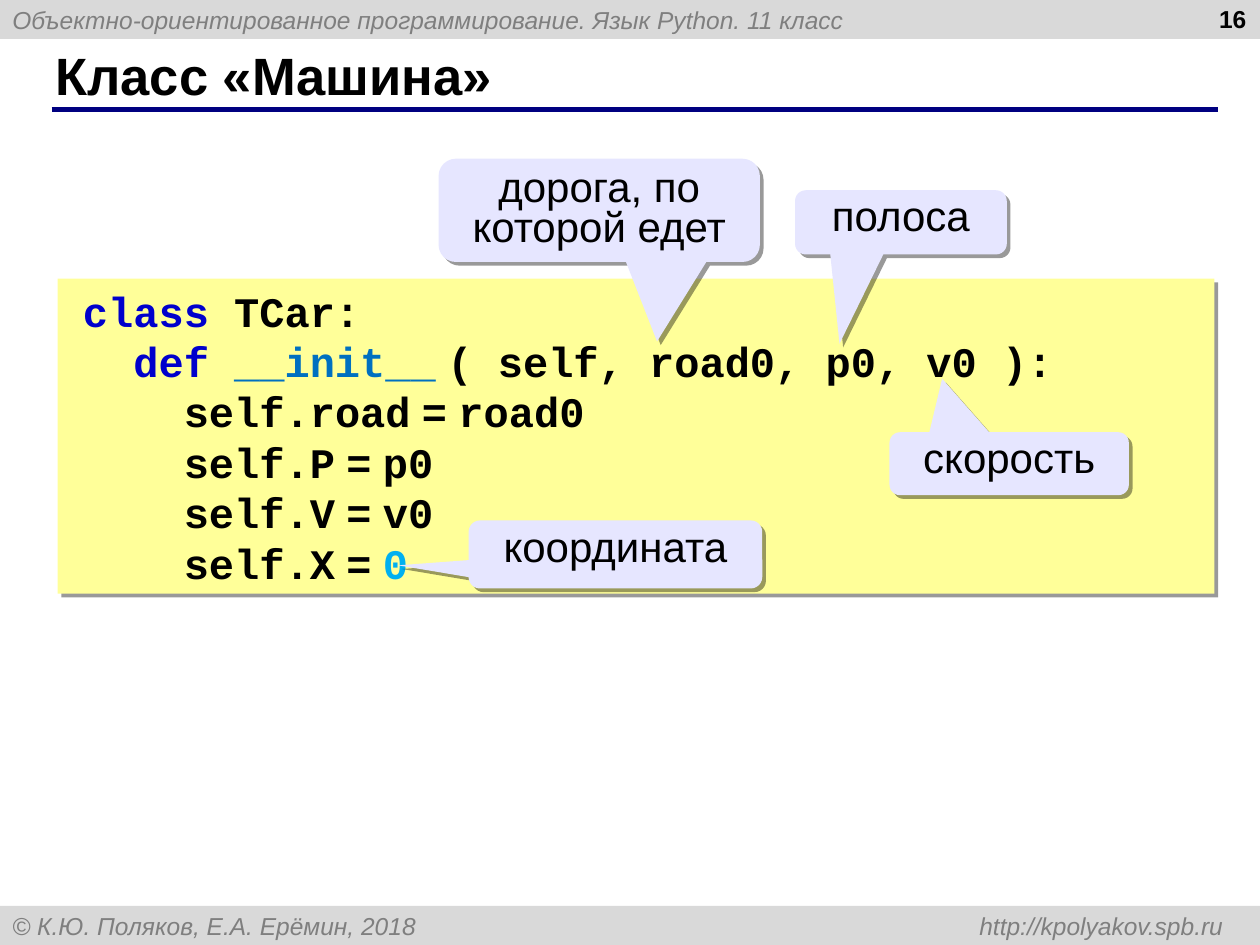
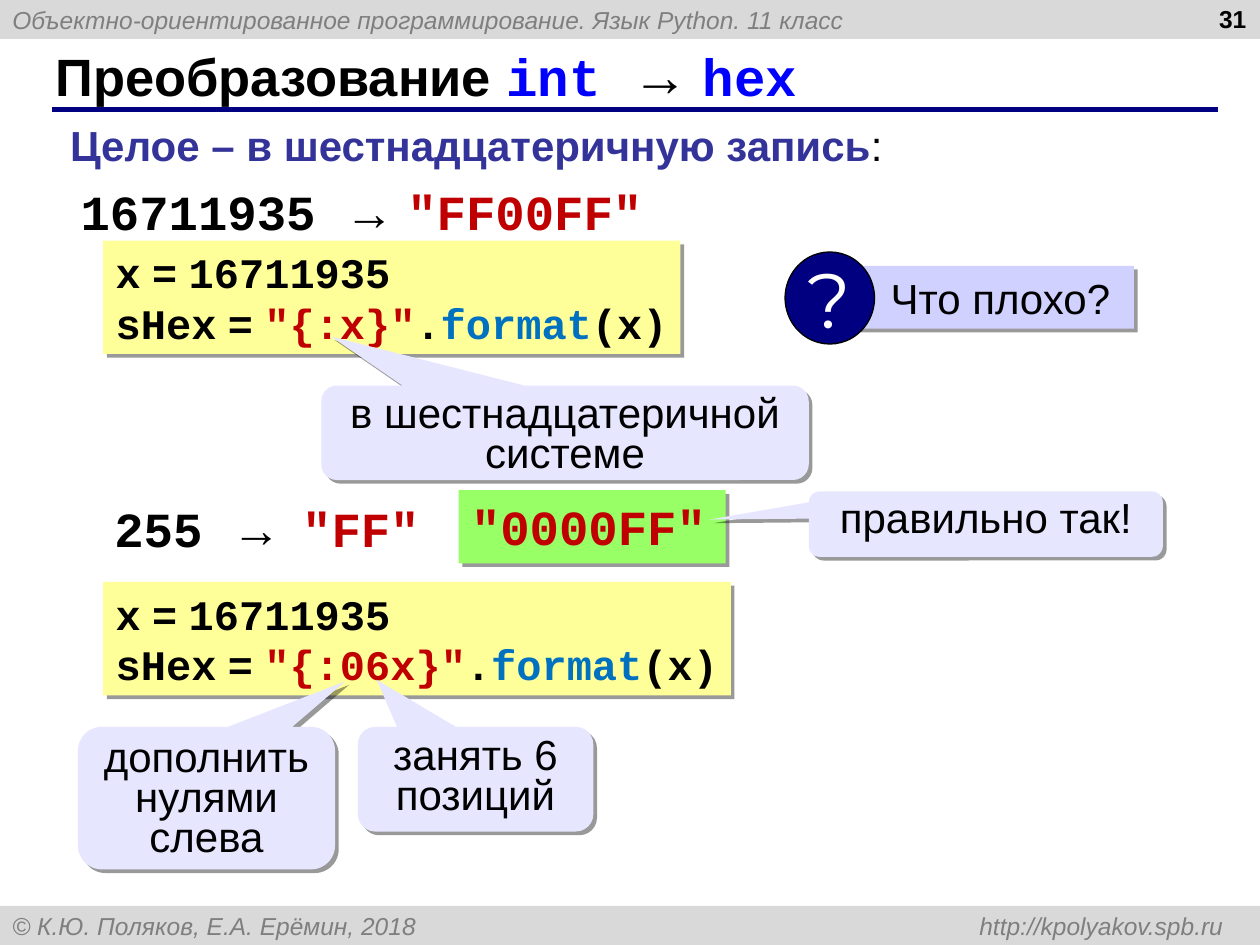
from dataclasses import dataclass
from typing import NamedTuple, Optional

from lxml import etree
from pptx import Presentation
from pptx.dml.color import RGBColor
from pptx.enum.shapes import MSO_CONNECTOR, MSO_SHAPE
from pptx.enum.text import MSO_ANCHOR, MSO_AUTO_SIZE, PP_ALIGN
from pptx.oxml.ns import qn
from pptx.util import Pt

RECTANGLE = MSO_SHAPE.RECTANGLE
ELLIPSE = MSO_SHAPE.OVAL
CALLOUT = MSO_SHAPE.ROUNDED_RECTANGULAR_CALLOUT
STRAIGHT = MSO_CONNECTOR.STRAIGHT
NO_AUTOFIT = MSO_AUTO_SIZE.NONE
TOP, MIDDLE = MSO_ANCHOR.TOP, MSO_ANCHOR.MIDDLE
LEFT, CENTER, RIGHT = PP_ALIGN.LEFT, PP_ALIGN.CENTER, PP_ALIGN.RIGHT

SANS, MONO, DISPLAY = "Arial", "Courier New", "Montserrat"
BLACK, WHITE, NAVY = "000000", "FFFFFF", "000080"
BAND_FILL, BAND_TEXT = "D9D9D9", "7F7F7F"
CODE_FILL, CALLOUT_FILL, ANSWER_FILL, QUESTION_FILL = "FFFF99", "E6E6FF", "99FF66", "D1D1FF"
KEYWORD, FUNCTION, NUMBER, STRING = "0000CC", "0070C0", "00B0F0", "C00000"
TYPE_NAME, HEADING = "0000FF", "333399"

SLIDE_WIDTH, SLIDE_HEIGHT, BAND_HEIGHT = 720, 540, 22.3
COURSE = "Объектно-ориентированное программирование. Язык Python. 11 класс"
COPYRIGHT = "© К.Ю. Поляков, Е.А. Ерёмин, 2018\thttp://kpolyakov.spb.ru"
FOOTER_TAB = 692


class Span(NamedTuple):
    """Piece of a line; unset fields follow the style of its paragraph."""
    text: str
    color: Optional[str] = None
    font: Optional[str] = None
    size: Optional[float] = None
    bold: Optional[bool] = None


Line = list[Span]


class Frame(NamedTuple):
    left: float
    top: float
    width: float
    height: float

    def points(self) -> list[Pt]:
        return [Pt(value) for value in self]


@dataclass(frozen=True)
class TextStyle:
    font: str = SANS
    size: float = 24
    color: str = BLACK
    bold: bool = False
    italic: bool = False
    align: PP_ALIGN = LEFT
    anchor: MSO_ANCHOR = TOP
    line_spacing: Optional[float] = None
    left_inset: float = 7.2
    wrap: bool = True
    tab: Optional[float] = None


@dataclass(frozen=True)
class Callout:
    frame: Frame
    text: str
    tip_x: float
    tip_y: float


BAND_STYLE = TextStyle(size=14, color=BAND_TEXT, italic=True, anchor=MIDDLE)
FOOTER_STYLE = TextStyle(size=14, color=BAND_TEXT, italic=True, anchor=MIDDLE, tab=FOOTER_TAB)
NUMBER_STYLE = TextStyle(size=14, bold=True, align=RIGHT)
TITLE_STYLE = TextStyle(size=30, bold=True, anchor=MIDDLE)
CALLOUT_STYLE = TextStyle(align=CENTER, line_spacing=0.8)
CLASS_STYLE = TextStyle(font=MONO, bold=True, anchor=MIDDLE, left_inset=14.4)
CODE_STYLE = TextStyle(font=MONO, bold=True, wrap=False)
VALUE_STYLE = TextStyle(font=MONO, size=28, bold=True)
HEADING_STYLE = TextStyle(color=HEADING, bold=True, wrap=False)
QUESTION_STYLE = TextStyle(left_inset=20)
MARK_STYLE = TextStyle(font=DISPLAY, size=44, color=WHITE, align=CENTER, anchor=MIDDLE, wrap=False)

EQUALS = Span(" = ", font=SANS)

CLASS_CODE: list[Line] = [
    [Span("class", KEYWORD), Span(" TCar:")],
    [Span("  def ", KEYWORD), Span("__init__", FUNCTION), Span(" ", font=SANS),
     Span("( self, road0, p0, v0 ):")],
    *[[Span(f"    self.{field}"), EQUALS, value] for field, value in (
        ("road", Span("road0")), ("P", Span("p0")), ("V", Span("v0")), ("X", Span("0", NUMBER)))],
]
CLASS_CALLOUTS = [
    Callout(Frame(250.6, 90.7, 183.6, 59), "дорога, по которой едет", 0.18, 1.27),
    Callout(Frame(508.3, 247, 136.8, 36), "скорость", -0.28, -1.35),
    Callout(Frame(454.3, 108.7, 121, 36.7), "полоса", -0.29, 1.89),
    Callout(Frame(267.8, 297.4, 167.8, 38.9), "координата", -0.74, 0.16),
]
HEX_CALLOUTS = [
    Callout(Frame(462.2, 280.8, 202.3, 37.4), "правильно так!", -0.78, -0.07),
    Callout(Frame(183.6, 220.3, 278.6, 54), "в шестнадцатеричной системе", -0.48, -1.02),
    Callout(Frame(44.6, 415.4, 146.9, 81.4), "дополнить нулями слева", 0.54, -0.82),
    Callout(Frame(204.5, 415.4, 134.6, 59.8), "занять 6 позиций", -0.42, -0.95),
]


def rgb(color: str) -> RGBColor:
    return RGBColor.from_string(color)


def add_tab(paragraph, position: float) -> None:
    tabs = etree.SubElement(paragraph._p.get_or_add_pPr(), qn("a:tabLst"))
    etree.SubElement(tabs, qn("a:tab"), pos=str(Pt(position)), algn="r")


def write(shape, lines: list[Line], style: TextStyle) -> None:
    frame = shape.text_frame
    frame.auto_size = NO_AUTOFIT
    frame.word_wrap = style.wrap
    frame.vertical_anchor = style.anchor
    frame.margin_left, frame.margin_right = Pt(style.left_inset), Pt(7.2)
    frame.margin_top = frame.margin_bottom = Pt(3.6)
    for index, line in enumerate(lines):
        paragraph = frame.add_paragraph() if index else frame.paragraphs[0]
        paragraph.alignment = style.align
        if style.line_spacing:
            paragraph.line_spacing = style.line_spacing
        if style.tab:
            add_tab(paragraph, style.tab)
        paragraph.font.name = style.font
        paragraph.font.size = Pt(style.size)
        paragraph.font.bold = style.bold
        paragraph.font.italic = style.italic
        for span in line:
            run = paragraph.add_run()
            run.text = span.text
            run.font.color.rgb = rgb(span.color or style.color)
            if span.font:
                run.font.name = span.font
            if span.size:
                run.font.size = Pt(span.size)
            if span.bold is not None:
                run.font.bold = span.bold


def add_shadow(shape) -> None:
    effects = shape._element.spPr.find(qn("a:effectLst"))
    shadow = etree.SubElement(effects, qn("a:outerShdw"), blurRad="0", dist=str(Pt(3)),
                              dir="2700000", algn="ctr", rotWithShape="0")
    color = etree.SubElement(shadow, qn("a:srgbClr"), val=BLACK)
    etree.SubElement(color, qn("a:alpha"), val="40000")


def add_box(slide, frame: Frame, fill: str, lines: list[Line], style: TextStyle,
            preset: MSO_SHAPE = RECTANGLE, shadow: bool = True):
    shape = slide.shapes.add_shape(preset, *frame.points())
    shape.shadow.inherit = False
    if shadow:
        add_shadow(shape)
    shape.fill.solid()
    shape.fill.fore_color.rgb = rgb(fill)
    shape.line.fill.background()
    write(shape, lines, style)
    return shape


def add_text(slide, frame: Frame, line: Line, style: TextStyle) -> None:
    write(slide.shapes.add_textbox(*frame.points()), [line], style)


def add_callout(slide, callout: Callout) -> None:
    shape = add_box(slide, callout.frame, CALLOUT_FILL, [[Span(callout.text)]],
                    CALLOUT_STYLE, CALLOUT)
    for index, value in enumerate((callout.tip_x, callout.tip_y, 0.167)):
        shape.adjustments[index] = value


def add_lesson_slide(presentation, number: int, title: Line):
    """Add a slide with its title, both bands, the title rule and the page number."""
    slide = presentation.slides.add_slide(presentation.slide_layouts[5])
    for top, text, style in ((0, COURSE, BAND_STYLE),
                             (SLIDE_HEIGHT - BAND_HEIGHT, COPYRIGHT, FOOTER_STYLE)):
        add_box(slide, Frame(0, top, SLIDE_WIDTH, BAND_HEIGHT), BAND_FILL,
                [[Span(text)]], style, shadow=False)
    rule = slide.shapes.add_connector(STRAIGHT, Pt(29.5), Pt(62.6), Pt(696.2), Pt(62.6))
    rule.line.color.rgb = rgb(NAVY)
    rule.line.width = Pt(3)
    etree.SubElement(rule._element.spPr, qn("a:effectLst"))
    heading = slide.shapes.title
    heading.left, heading.top, heading.width, heading.height = Frame(24.5, 23.8, 659.5, 37.4).points()
    write(heading, [title], TITLE_STYLE)
    add_text(slide, Frame(551.5, -1.4, 167.8, 37.4), [Span(str(number))], NUMBER_STYLE)
    return slide


def add_format_code(slide, top: float, width: float, template: str) -> None:
    lines = [
        [Span("x"), EQUALS, Span("16711935")],
        [Span("sHex"), EQUALS, Span(template, STRING), Span("."),
         Span("format", FUNCTION), Span("(x)")],
    ]
    add_box(slide, Frame(59, top, width, 64.8), CODE_FILL, lines, CODE_STYLE)


def add_question(slide, text: str) -> None:
    add_box(slide, Frame(488.9, 151.9, 159.1, 36), QUESTION_FILL, [[Span(text)]], QUESTION_STYLE)
    mark = add_box(slide, Frame(448.6, 144, 51.1, 52.6), NAVY, [[Span("?")]],
                   MARK_STYLE, ELLIPSE, shadow=False)
    mark.line.color.rgb = rgb(BLACK)
    mark.line.width = Pt(0.75)


def build_class_slide(presentation) -> None:
    slide = add_lesson_slide(presentation, 16, [Span("Класс «Машина»")])
    add_box(slide, Frame(33, 159.3, 661, 180), CODE_FILL, CLASS_CODE, CLASS_STYLE)
    for callout in CLASS_CALLOUTS:
        add_callout(slide, callout)


def build_hex_slide(presentation) -> None:
    slide = add_lesson_slide(presentation, 31, [
        Span("Преобразование "), Span("int ", TYPE_NAME, MONO), Span("→", size=32),
        Span(" "), Span("hex", TYPE_NAME, MONO)])
    add_text(slide, Frame(33, 64.8, 479, 36),
             [Span("Целое – в шестнадцатеричную запись"), Span(":", BLACK, bold=False)],
             HEADING_STYLE)
    add_text(slide, Frame(39, 100.1, 367, 41.8),
             [Span("16711935 "), Span("→ ", font=SANS), Span('"FF00FF"', STRING)], VALUE_STYLE)
    add_text(slide, Frame(58.3, 281.5, 118, 41.8),
             [Span("255 "), Span("→", font=SANS)], VALUE_STYLE)
    add_text(slide, Frame(165.6, 281.5, 123, 41.8), [Span('"FF"', STRING)], VALUE_STYLE)
    add_box(slide, Frame(262.1, 280.1, 152.6, 41.8), ANSWER_FILL,
            [[Span('"0000FF"', STRING)]], VALUE_STYLE)
    add_format_code(slide, 137.5, 329.8, '"{:x}"')
    add_format_code(slide, 332.6, 358.6, '"{:06x}"')
    add_question(slide, "Что плохо?")
    for callout in HEX_CALLOUTS:
        add_callout(slide, callout)


def main() -> None:
    presentation = Presentation()
    presentation.slide_width, presentation.slide_height = Pt(SLIDE_WIDTH), Pt(SLIDE_HEIGHT)
    build_class_slide(presentation)
    build_hex_slide(presentation)
    presentation.save("out.pptx")


if __name__ == "__main__":
    main()
